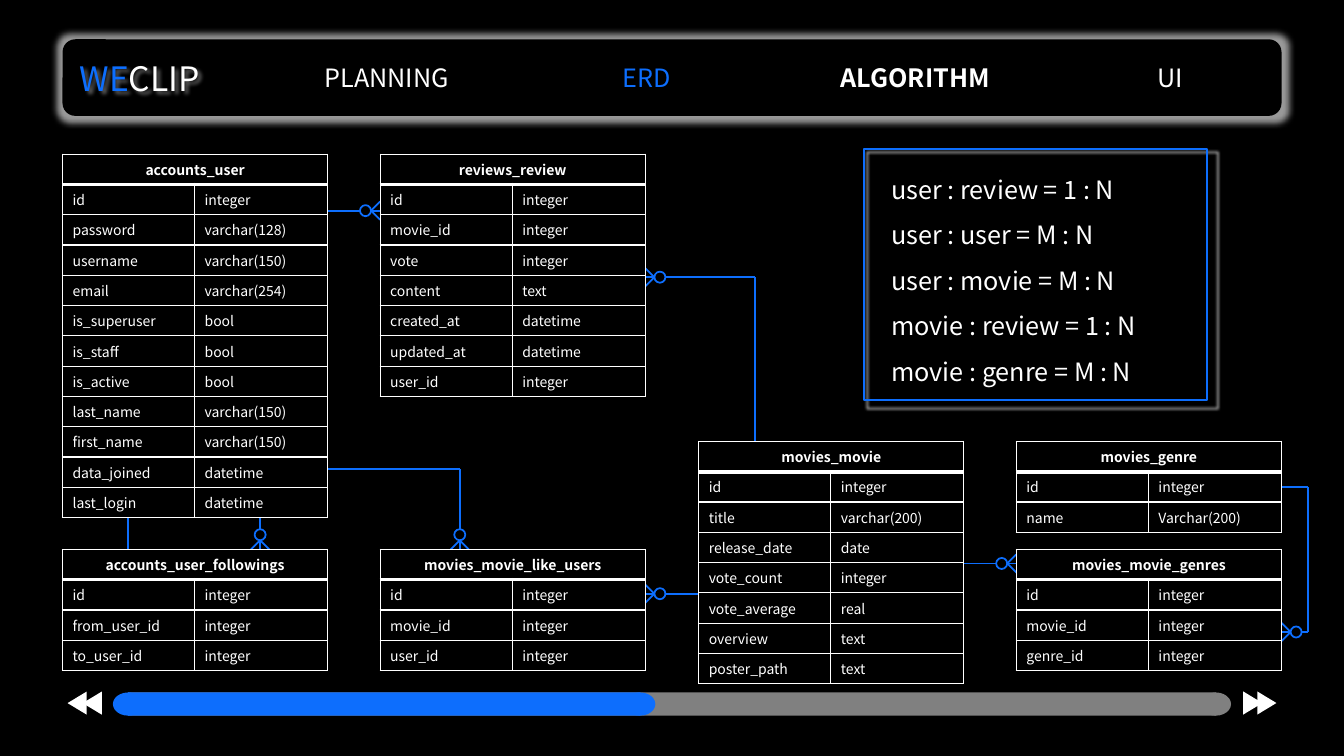
"""Build the ERD slide: navigation bar, linked database tables and progress track."""
from dataclasses import dataclass

from lxml.etree import SubElement
from pptx import Presentation
from pptx.dml.color import RGBColor
from pptx.enum.shapes import MSO_CONNECTOR, MSO_SHAPE
from pptx.enum.text import MSO_ANCHOR, PP_ALIGN
from pptx.oxml import parse_xml
from pptx.oxml.ns import nsdecls, qn
from pptx.util import Inches, Pt


@dataclass(frozen=True)
class Theme:
    font: str = "Noto Sans CJK KR"
    black: RGBColor = RGBColor(0x00, 0x00, 0x00)
    white: RGBColor = RGBColor(0xFF, 0xFF, 0xFF)
    blue: RGBColor = RGBColor(0x0D, 0x6E, 0xFD)
    gray: RGBColor = RGBColor(0x80, 0x80, 0x80)
    brand_size: int = 24
    text_size: int = 18
    cell_size: int = 10
    wire_width: float = 1.25


theme = Theme()


def style(span, size, color, bold=False):
    span.font.name = theme.font
    span.font.size = Pt(size)
    span.font.color.rgb = color
    span.font.bold = bold


def draw(kind, bounds, fill=None, line=None):
    shape = page.shapes.add_shape(kind, *map(Inches, bounds))
    shape.shadow.inherit = False
    if fill is None:
        shape.fill.background()
    else:
        shape.fill.solid()
        shape.fill.fore_color.rgb = fill
    if line is None:
        shape.line.fill.background()
    else:
        shape.line.color.rgb = line
        shape.line.width = Pt(theme.wire_width)
    return shape


deck = Presentation()
deck.slide_width, deck.slide_height = Inches(13.33), Inches(7.5)
page = deck.slides.add_slide(deck.slide_layouts[1])
page.background.fill.solid()
page.background.fill.fore_color.rgb = theme.black
title, relations = page.placeholders

relation_frame = draw(MSO_SHAPE.RECTANGLE, (8.57, 1.48, 3.4, 2.49), line=theme.blue)

wires = [
    [(3.77, 2.09), (3.25, 2.09)],
    [(6.4, 2.75), (7.49, 2.75), (7.49, 4.38)],
    [(4.56, 5.45), (4.56, 4.65), (3.25, 4.65)],
    [(6.4, 5.89), (6.93, 5.89)],
    [(10.08, 5.59), (9.56, 5.59)],
    [(12.71, 6.27), (12.97, 6.27), (12.97, 4.83), (12.71, 4.83)],
    [(2.58, 5.45), (2.58, 5.13)],
    [(1.27, 5.13), (1.27, 5.45)],
]
followings_source = wires[-1]
prong, ring = 0.09, 0.11
for wire in wires:
    segments = list(zip(wire, wire[1:]))
    (x, y), (next_x, next_y) = wire[:2]
    step_x = (next_x > x) - (next_x < x)
    step_y = (next_y > y) - (next_y < y)
    if wire is not followings_source:
        apex = (x + prong * step_x, y + prong * step_y)
        for side in (-prong, prong):
            segments.append(((x + side * step_y, y + side * step_x), apex))
    for start, end in segments:
        connector = page.shapes.add_connector(MSO_CONNECTOR.STRAIGHT, *map(Inches, start + end))
        connector.line.color.rgb = theme.blue
        connector.line.width = Pt(theme.wire_width)
        SubElement(connector.element.spPr, qn("a:effectLst"))
    if wire is not followings_source:
        reach = prong + ring / 2
        corner = (x + reach * step_x - ring / 2, y + reach * step_y - ring / 2)
        draw(MSO_SHAPE.OVAL, (*corner, ring, ring), theme.black, theme.blue)

for kind, left, width, color in [
    (MSO_SHAPE.RECTANGLE, 1.27, 10.79, theme.gray),
    (MSO_SHAPE.OVAL, 11.91, 0.3, theme.gray),
    (MSO_SHAPE.RECTANGLE, 1.27, 5.08, theme.blue),
    (MSO_SHAPE.OVAL, 1.12, 0.3, theme.blue),
    (MSO_SHAPE.OVAL, 6.2, 0.3, theme.blue),
]:
    draw(kind, (left, 6.87, width, 0.23), color)
for left, rotation in [(0.8, 270), (0.65, 270), (12.31, 90), (12.45, 90)]:
    arrow = draw(MSO_SHAPE.ISOSCELES_TRIANGLE, (left, 6.88, 0.23, 0.19), theme.white)
    arrow.rotation = rotation

entities = [
    ("accounts_user", 0.62, 1.53, [
        ("id", "integer"), ("password", "varchar(128)"), ("username", "varchar(150)"),
        ("email", "varchar(254)"), ("is_superuser", "bool"), ("is_staff", "bool"),
        ("is_active", "bool"), ("last_name", "varchar(150)"), ("first_name", "varchar(150)"),
        ("data_joined", "datetime"), ("last_login", "datetime")]),
    ("accounts_user_followings", 0.62, 5.45, [
        ("id", "integer"), ("from_user_id", "integer"), ("to_user_id", "integer")]),
    ("reviews_review", 3.77, 1.53, [
        ("id", "integer"), ("movie_id", "integer"), ("vote", "integer"), ("content", "text"),
        ("created_at", "datetime"), ("updated_at", "datetime"), ("user_id", "integer")]),
    ("movies_movie_like_users", 3.77, 5.45, [
        ("id", "integer"), ("movie_id", "integer"), ("user_id", "integer")]),
    ("movies_movie", 6.93, 4.38, [
        ("id", "integer"), ("title", "varchar(200)"), ("release_date", "date"),
        ("vote_count", "integer"), ("vote_average", "real"), ("overview", "text"),
        ("poster_path", "text")]),
    ("movies_genre", 10.08, 4.38, [("id", "integer"), ("name", "Varchar(200)")]),
    ("movies_movie_genres", 10.08, 5.45, [
        ("id", "integer"), ("movie_id", "integer"), ("genre_id", "integer")]),
]
row_height = 0.3
for name, left, top, fields in entities:
    rows = [(name, ""), *fields]
    frame = page.shapes.add_table(len(rows), 2, Inches(left), Inches(top),
                                  Inches(2.63), Inches(row_height * len(rows)))
    table = frame.table
    table.columns[0].width, table.columns[1].width = Inches(1.31), Inches(1.32)
    table.cell(0, 0).merge(table.cell(0, 1))
    for row, values in enumerate(rows):
        table.rows[row].height = Inches(row_height)
        for column, value in enumerate(values):
            cell = table.cell(row, column)
            properties = cell._tc.get_or_add_tcPr()
            for edge in ("lnL", "lnR", "lnT", "lnB"):
                heavy = (row, edge) in ((0, "lnB"), (1, "lnT"))
                border = SubElement(properties, qn(f"a:{edge}"), w=str(Pt(3 if heavy else 1)))
                paint = SubElement(border, qn("a:solidFill"))
                SubElement(paint, qn("a:srgbClr"), val=str(theme.white))
            cell.fill.solid()
            cell.fill.fore_color.rgb = theme.black
            if value:
                cell.text_frame.text = value
                para = cell.text_frame.paragraphs[0]
                para.alignment = PP_ALIGN.LEFT if row else PP_ALIGN.CENTER
                style(para.runs[0], theme.cell_size, theme.white, bold=row == 0)

relations.left, relations.top = Inches(8.74), Inches(1.53)
relations.width, relations.height = Inches(3.05), Inches(2.37)
relations.text_frame.text = "\n".join([
    "user : review = 1 : N", "user : user = M : N", "user : movie = M : N",
    "movie : review = 1 : N", "movie : genre = M : N"])
relations.text_frame.word_wrap = False
for para in relations.text_frame.paragraphs:
    para.line_spacing = 1.5
    para.space_before = Pt(0)
    layout = para._p.get_or_add_pPr()
    layout.set("marL", "0")
    layout.set("indent", "0")
    SubElement(layout, qn("a:buNone"))
    style(para.runs[0], theme.text_size, theme.white)

bar = draw(MSO_SHAPE.ROUNDED_RECTANGLE, (0.62, 0.39, 12.09, 0.76), theme.black)
bar.element.addnext(title.element)
title.left, title.top, title.width, title.height = map(Inches, (0.69, 0.52, 1.43, 0.5))
title.text_frame.word_wrap = False
title.text_frame.vertical_anchor = MSO_ANCHOR.TOP
para = title.text_frame.paragraphs[0]
para.alignment = PP_ALIGN.LEFT
for text, color in [("WE", theme.blue), ("CLIP", theme.white)]:
    span = para.add_run()
    span.text = text
    style(span, theme.brand_size, color)

for text, left, width, color, bold in [
    ("PLANNING", 3.12, 1.49, theme.white, False),
    ("ERD", 6.08, 0.69, theme.blue, False),
    ("ALGORITHM", 8.24, 1.68, theme.white, True),
    ("UI", 11.38, 0.48, theme.white, False),
]:
    box = page.shapes.add_textbox(Inches(left), Inches(0.57), Inches(width), Inches(0.4))
    box.text_frame.text = text
    box.text_frame.word_wrap = False
    style(box.text_frame.paragraphs[0].runs[0], theme.text_size, color, bold)

shadow = 'outerShdw blurRad="{}" dist="38100" dir="2700000" sx="{}" sy="{}" algn="tl"'
for shape, effect, alpha in [
    (relation_frame, shadow.format(Pt(2), 102000, 102000), 70000),
    (title, shadow.format(Pt(3), 100000, 100000), 40000),
    (bar, f'glow rad="{Pt(10)}"', 60000),
]:
    shape.shadow.inherit = False
    shape.element.spPr.find(qn("a:effectLst")).append(parse_xml(
        f'<a:{effect} {nsdecls("a")}><a:srgbClr val="{theme.white}">'
        f'<a:alpha val="{alpha}"/></a:srgbClr></a:{effect.split()[0]}>'))

deck.save("out.pptx")
